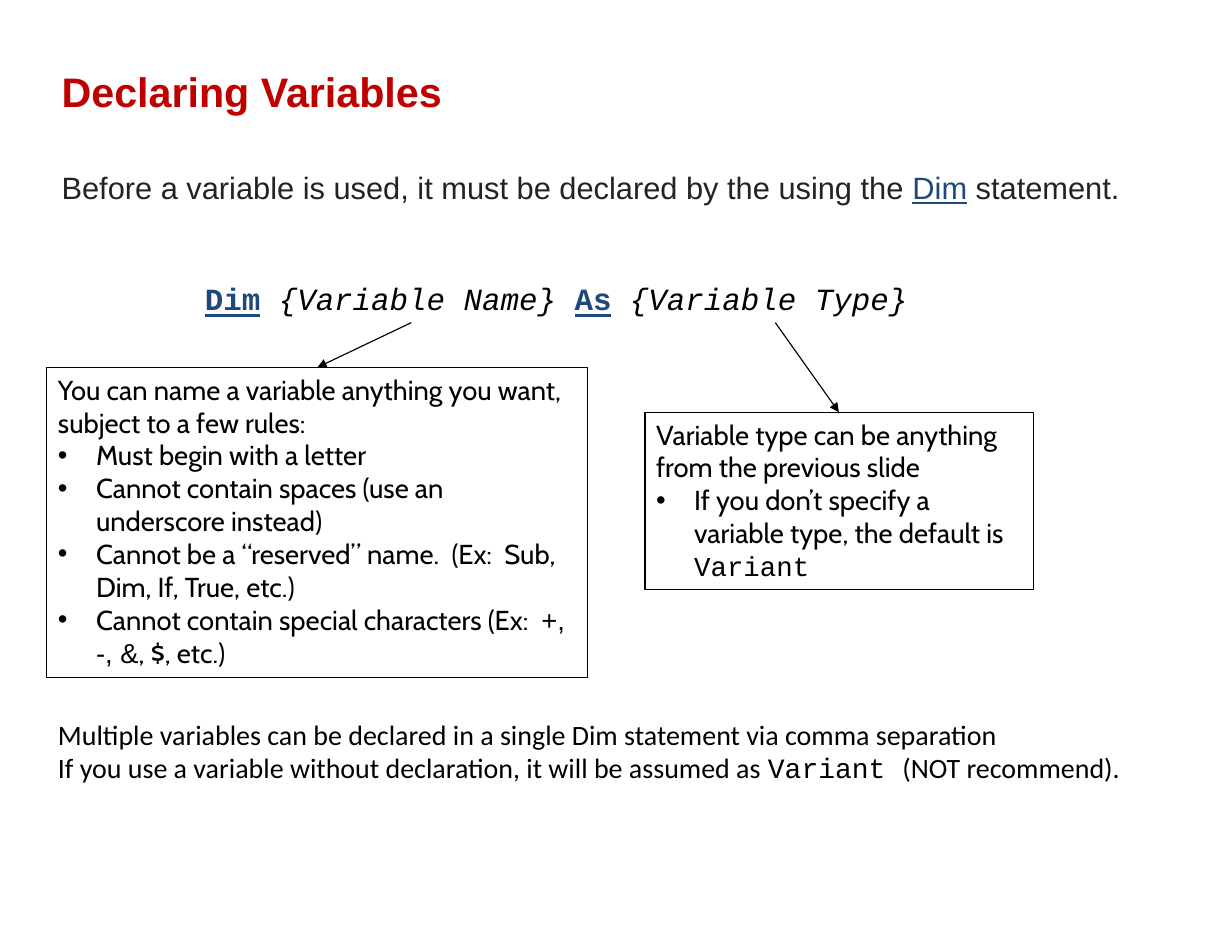
from lxml.etree import SubElement
from pptx import Presentation
from pptx.dml.color import RGBColor
from pptx.enum.shapes import MSO_CONNECTOR, MSO_SHAPE
from pptx.enum.text import MSO_ANCHOR, PP_ALIGN
from pptx.oxml.ns import qn
from pptx.util import Pt

BLACK, RED, GRAY, BLUE = "000000", "BF0000", "232323", "1F497D"
INDENT = 24.5

# Text formats
TITLE = {"name": "Arial", "size": Pt(26.5), "bold": True, "color": RED}
INTRO = {"name": "Arial", "size": Pt(19.8), "color": GRAY}
INTRO_KEYWORD = {**INTRO, "color": BLUE, "underline": True}
CODE = {"name": "Courier New", "size": Pt(19.8), "color": BLACK}
CODE_KEYWORD = {**CODE, "color": BLUE, "bold": True, "underline": True}
CODE_SLOT = {**CODE, "italic": True}
RULE = {"name": "Cabin", "size": Pt(17.6), "color": BLACK}
RULE_SYMBOL = {**RULE, "name": "Arial"}
RULE_CODE = {**RULE, "name": "Courier New"}
NOTE = {"name": "Calibri", "size": Pt(18), "color": BLACK}
NOTE_CODE = {**NOTE, "name": "Courier New"}


def rgb(color):
    return RGBColor.from_string(color)


def format_font(font, values):
    for key, value in values.items():
        if key == "color":
            font.color.rgb = rgb(value)
        else:
            setattr(font, key, value)


def add_bullet(para):
    properties = para._p.get_or_add_pPr()
    properties.set("marL", str(Pt(INDENT)))
    properties.set("indent", str(-Pt(INDENT)))
    SubElement(properties, qn("a:buFont"), typeface="Arial")
    SubElement(properties, qn("a:buChar"), char="•")


def fill_text(box, paragraphs, inset=(7.2, 3.6), bullets_from=None):
    """Write paragraphs, each a list of (text, format) spans."""
    frame = box.text_frame
    frame.word_wrap = True
    frame.vertical_anchor = MSO_ANCHOR.TOP
    frame.margin_left = frame.margin_right = Pt(inset[0])
    frame.margin_top = frame.margin_bottom = Pt(inset[1])
    for index, spans in enumerate(paragraphs):
        para = frame.add_paragraph() if index else frame.paragraphs[0]
        para.alignment = PP_ALIGN.LEFT
        if bullets_from is not None and index >= bullets_from:
            add_bullet(para)
        for text, values in spans:
            span = para.add_run()
            span.text = text
            format_font(span.font, values)


def add_title(page, text, left, top, width, height):
    title = page.shapes.title
    title.left, title.top = Pt(left), Pt(top)
    title.width, title.height = Pt(width), Pt(height)
    fill_text(title, [[(text, TITLE)]], inset=(0, 0))


def add_text(page, left, top, width, height, paragraphs, **options):
    box = page.shapes.add_textbox(Pt(left), Pt(top), Pt(width), Pt(height))
    fill_text(box, paragraphs, **options)


def add_rule_box(page, left, top, width, height, paragraphs):
    """Outlined box: a lead paragraph followed by bullets."""
    box = page.shapes.add_shape(
        MSO_SHAPE.RECTANGLE, Pt(left), Pt(top), Pt(width), Pt(height))
    box.shadow.inherit = False
    box.fill.background()
    box.line.color.rgb = rgb(BLACK)
    box.line.width = Pt(0.75)
    fill_text(box, paragraphs, bullets_from=1)


def add_arrow(page, start, end):
    arrow = page.shapes.add_connector(
        MSO_CONNECTOR.STRAIGHT, *(Pt(value) for value in (*start, *end)))
    arrow.line.color.rgb = rgb(BLACK)
    arrow.line.width = Pt(0.75)
    SubElement(arrow.line._get_or_add_ln(), qn("a:tailEnd"), type="triangle")
    SubElement(arrow._element.spPr, qn("a:effectLst"))


def main():
    deck = Presentation()
    deck.slide_width, deck.slide_height = Pt(792), Pt(612)
    page = deck.slides.add_slide(deck.slide_layouts[5])

    # Heading and introduction
    add_title(page, "Declaring Variables", 39.6, 42.5, 550, 32.4)
    add_text(page, 39.6, 108.7, 698.4, 55.4, [[
        ("Before a variable is used, it must be declared by the using the ", INTRO),
        ("Dim", INTRO_KEYWORD),
        (" statement.", INTRO),
    ]], inset=(0, 0))

    # Syntax of the statement
    add_text(page, 124.6, 176.5, 548, 31, [[
        ("Dim", CODE_KEYWORD),
        (" ", CODE),
        ("{Variable Name} ", CODE_SLOT),
        ("As", CODE_KEYWORD),
        (" ", CODE),
        ("{Variable Type}", CODE_SLOT),
    ]])

    # Rules for the name and the type
    add_rule_box(page, 30.2, 236.2, 347.8, 199.4, [
        [("You can name a variable anything you want, subject to a few rules:", RULE)],
        [("Must begin with a letter", RULE)],
        [("Cannot contain spaces (use an underscore instead)", RULE)],
        [("Cannot be a “reserved” name.  (Ex:  Sub, Dim, If, True, etc.)", RULE)],
        [("Cannot contain special characters (Ex:  ", RULE),
         ("+, -, &", RULE_SYMBOL),
         (", $, etc.)", RULE)],
    ])
    add_rule_box(page, 414.7, 265, 249.8, 113.8, [
        [("Variable type can be anything from the previous slide", RULE)],
        [("If you don’t specify a variable type, the default is ", RULE),
         ("Variant", RULE_CODE)],
    ])
    add_arrow(page, (264.5, 207.4), (204, 236.2))
    add_arrow(page, (498.4, 207.4), (539.3, 265))

    # Closing notes
    add_text(page, 30.2, 457.6, 720, 52, [
        [("Multiple variables can be declared in a single Dim statement"
          " via comma separation", NOTE)],
        [("If you use a variable without declaration, it will be assumed as ", NOTE),
         ("Variant ", NOTE_CODE),
         ("(NOT recommend).", NOTE)],
    ])

    deck.save("out.pptx")


if __name__ == "__main__":
    main()
